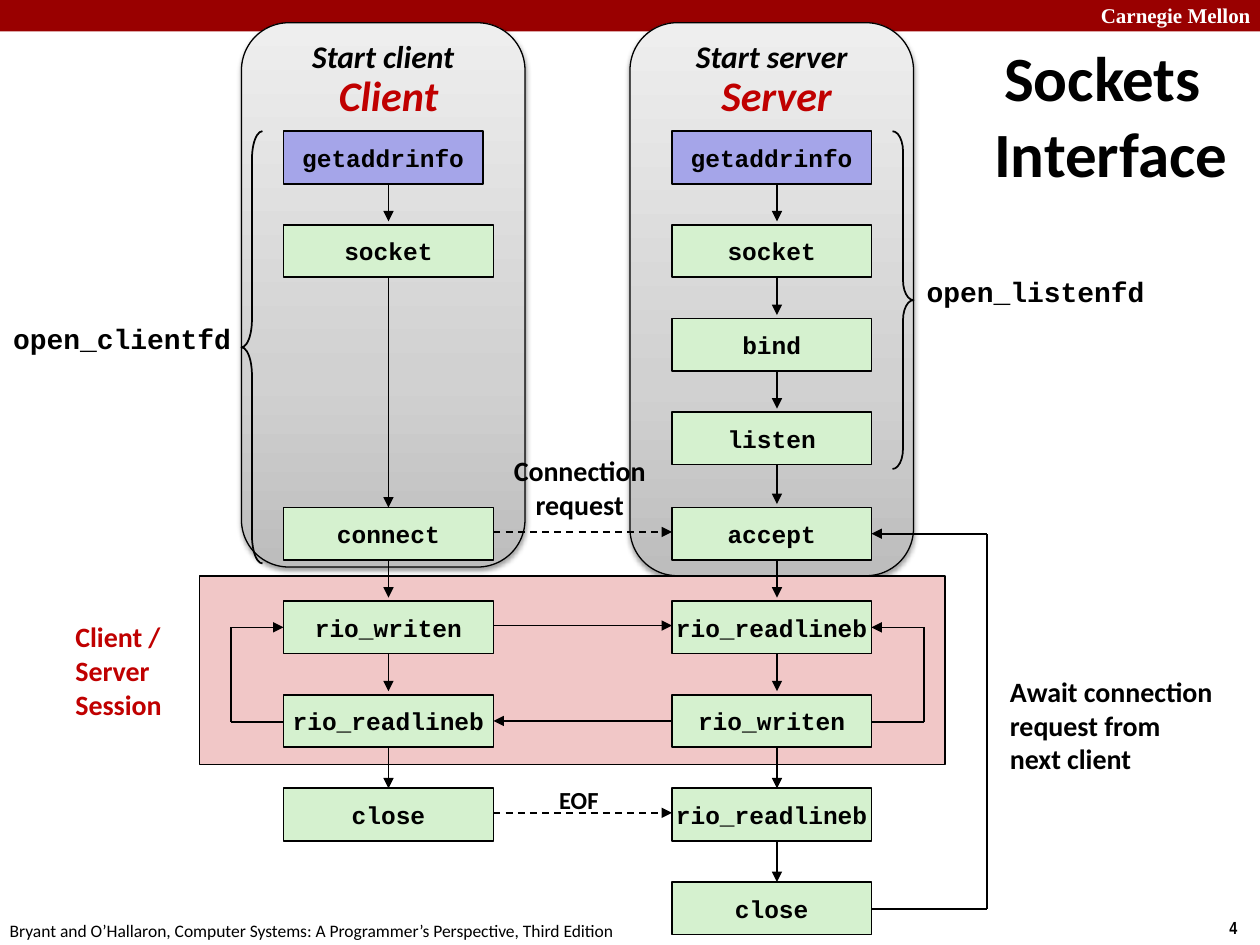
import copy

import pptx
import pptx.dml.color
import pptx.enum.dml
import pptx.enum.shapes
import pptx.enum.text
import pptx.oxml
import pptx.oxml.ns
import pptx.util

Pt = pptx.util.Pt
RGBColor = pptx.dml.color.RGBColor
MSO_SHAPE = pptx.enum.shapes.MSO_SHAPE
PP_ALIGN = pptx.enum.text.PP_ALIGN
MSO_ANCHOR = pptx.enum.text.MSO_ANCHOR
qn = pptx.oxml.ns.qn

BLACK = RGBColor(0x00, 0x00, 0x00)
WHITE = RGBColor(0xFF, 0xFF, 0xFF)
BANNER_RED = RGBColor(0x99, 0x00, 0x00)
ACCENT_RED = RGBColor(0xC0, 0x00, 0x00)
PINK = RGBColor(0xF1, 0xC7, 0xC7)
GREEN = RGBColor(0xD5, 0xF1, 0xCF)
LAVENDER = RGBColor(0xA5, 0xA5, 0xE9)
PANEL_STOPS = [
    (0, RGBColor(0xBD, 0xBD, 0xBD)),
    (0.35, RGBColor(0xD1, 0xD1, 0xD1)),
    (1, RGBColor(0xEE, 0xEE, 0xEE)),
]
PANEL_SHADOW = (
    '<a:outerShdw xmlns:a="http://schemas.openxmlformats.org/drawingml/2006/main"'
    ' blurRad="39370" dist="20320" dir="5400000" rotWithShape="0">'
    '<a:srgbClr val="000000"><a:alpha val="38000"/></a:srgbClr></a:outerShdw>'
)

BODY_FONT = "Calibri"
CODE_FONT = "Courier New"

CLIENT_LEFT, CLIENT_WIDTH, CLIENT_AXIS = 162, 120, 222
SERVER_LEFT, SERVER_WIDTH, SERVER_AXIS = 384, 114, 444
CLIENT_RIGHT = CLIENT_LEFT + CLIENT_WIDTH
SERVER_RIGHT = SERVER_LEFT + SERVER_WIDTH
BOX_HEIGHT = 30
ROW_PITCH = 53.5

CLIENT_CALLS = {0: "getaddrinfo", 1: "socket", 4: "connect", 5: "rio_writen",
                6: "rio_readlineb", 7: "close"}
SERVER_CALLS = dict(enumerate(["getaddrinfo", "socket", "bind", "listen", "accept",
                               "rio_readlineb", "rio_writen", "rio_readlineb", "close"]))


def row_top(row):
    return 75 + ROW_PITCH * row if row < 4 else 290 + ROW_PITCH * (row - 4)


def row_middle(row):
    return row_top(row) + BOX_HEIGHT / 2


class Diagram:
    def __init__(self, slide):
        self.slide = slide

    def add_lines(self, frame, lines, size, font=BODY_FONT, color=BLACK, bold=True,
                  italic=False, align=PP_ALIGN.CENTER):
        for index, line in enumerate(lines):
            paragraph = frame.paragraphs[0] if index == 0 else frame.add_paragraph()
            paragraph.alignment = align
            run = paragraph.add_run()
            run.text = line
            run.font.name = font
            run.font.size = Pt(size)
            run.font.bold = bold
            run.font.italic = italic
            run.font.color.rgb = color

    def title(self, text, left, top, width, height):
        title = self.slide.shapes.title
        title.left, title.top, title.width, title.height = map(Pt, (left, top, width, height))
        frame = title.text_frame
        frame.word_wrap = True
        frame.auto_size = pptx.enum.text.MSO_AUTO_SIZE.NONE
        frame.vertical_anchor = MSO_ANCHOR.MIDDLE
        self.add_lines(frame, [text], 36)
        properties = frame.paragraphs[0]._p.get_or_add_pPr()
        properties.set("marL", str(Pt(9.36)))
        properties.set("indent", str(-Pt(9.36)))

    def text(self, lines, left, top, width, height, size, wrap=False,
             anchor=MSO_ANCHOR.MIDDLE, **style):
        shape = self.slide.shapes.add_textbox(Pt(left), Pt(top), Pt(width), Pt(height))
        frame = shape.text_frame
        frame.word_wrap = wrap
        frame.auto_size = pptx.enum.text.MSO_AUTO_SIZE.SHAPE_TO_FIT_TEXT
        frame.vertical_anchor = anchor
        self.add_lines(frame, lines, size, **style)

    def shape(self, kind, left, top, width, height, fill=None, line_width=1):
        shape = self.slide.shapes.add_shape(kind, Pt(left), Pt(top), Pt(width), Pt(height))
        shape.shadow.inherit = False
        if fill is None:
            shape.fill.background()
        else:
            shape.fill.solid()
            shape.fill.fore_color.rgb = fill
        if line_width:
            shape.line.color.rgb = BLACK
            shape.line.width = Pt(line_width)
        else:
            shape.line.fill.background()
        return shape

    def call(self, name, left, row, width):
        fill = LAVENDER if name == "getaddrinfo" else GREEN
        shape = self.shape(MSO_SHAPE.RECTANGLE, left, row_top(row), width, BOX_HEIGHT, fill)
        shape.text_frame.word_wrap = False
        shape.text_frame.vertical_anchor = MSO_ANCHOR.MIDDLE
        self.add_lines(shape.text_frame, [name], 14, CODE_FONT)

    def panel(self, caption, left, top, width, height):
        shape = self.shape(MSO_SHAPE.ROUNDED_RECTANGLE, left, top, width, height,
                           line_width=0.75)
        shape.fill.gradient()
        shape.fill.gradient_angle = 90
        stop_list = shape._element.spPr.find(".//" + qn("a:gsLst"))
        stop_list.append(copy.deepcopy(stop_list[0]))
        for stop, (position, color) in zip(shape.fill.gradient_stops, PANEL_STOPS):
            stop.position = position
            stop.color.rgb = color
        effects = shape._element.spPr.find(qn("a:effectLst"))
        effects.append(pptx.oxml.parse_xml(PANEL_SHADOW))
        frame = shape.text_frame
        frame.margin_top = 0
        frame.vertical_anchor = MSO_ANCHOR.TOP
        self.add_lines(frame, [caption], 18, italic=True)

    def brace(self, kind, left, top, width, height, curl):
        shape = self.shape(kind, left, top, width, height)
        shape.adjustments[0] = curl

    def route(self, *points, dashed=False):
        for start, end in zip(points, points[1:]):
            line = self.slide.shapes.add_connector(
                pptx.enum.shapes.MSO_CONNECTOR.STRAIGHT, *map(Pt, start + end))
            line.line.color.rgb = BLACK
            line.line.width = Pt(1)
            if dashed:
                line.line.dash_style = pptx.enum.dml.MSO_LINE.DASH
            properties = line._element.spPr
            properties.append(properties.makeelement(qn("a:effectLst")))
        outline = properties.find(qn("a:ln"))
        outline.append(outline.makeelement(qn("a:tailEnd"), {"type": "triangle"}))

    def down(self, axis, row, next_row, gap):
        self.route((axis, row_top(row) + BOX_HEIGHT), (axis, row_top(next_row) - gap))


def main():
    presentation = pptx.Presentation()
    presentation.slide_width, presentation.slide_height = Pt(720), Pt(540)
    slide = presentation.slides.add_slide(presentation.slide_layouts[5])
    diagram = Diagram(slide)
    left = PP_ALIGN.LEFT

    diagram.shape(MSO_SHAPE.RECTANGLE, 0, 0, 720, 18, BANNER_RED, line_width=0)
    diagram.text(["Carnegie Mellon"], 622, -2, 103, 21.6, 12, wrap=True, anchor=MSO_ANCHOR.TOP,
                 font="Times New Roman", color=WHITE, align=left)
    diagram.text(["4"], 695.5, 520.5, 24.5, 19.5, 10, anchor=MSO_ANCHOR.TOP,
                 font="Arial Narrow", align=left)
    diagram.text(["Bryant and O’Hallaron, Computer Systems: A Programmer’s Perspective, "
                  "Third Edition"], -1.5, 522, 366, 19.5, 10, anchor=MSO_ANCHOR.TOP,
                 bold=False, align=left)
    diagram.title("Sockets Interface", 546, 18, 168, 94.5)

    diagram.panel("Start client", 138, 13, 162, 311)
    diagram.panel("Start server", 360, 13, 162, 316)
    diagram.shape(MSO_SHAPE.RECTANGLE, 114, 329, 426, 108, PINK)
    diagram.text(["Client"], 186, 36, 72, 36, 24, color=ACCENT_RED, italic=True)
    diagram.text(["Server"], 404.5, 36, 78.5, 36, 24, color=ACCENT_RED, italic=True)
    diagram.text(["Client / Server", "Session"], 36, 350.5, 66, 65, 16, wrap=True,
                 color=ACCENT_RED, align=left)

    for axis, calls in ((CLIENT_AXIS, CLIENT_CALLS), (SERVER_AXIS, SERVER_CALLS)):
        rows = list(calls)
        for row, next_row in zip(rows, rows[1:]):
            touching = row >= 6 or next_row - row > 1
            diagram.down(axis, row, next_row, 0 if touching else 2)

    for row in (4, 7):
        diagram.route((CLIENT_RIGHT, row_middle(row) - 1), (SERVER_LEFT, row_middle(row) - 1),
                      dashed=True)
    diagram.route((CLIENT_RIGHT, row_middle(5) - 1), (SERVER_LEFT, row_middle(5) - 1))
    diagram.route((SERVER_LEFT, row_middle(6)), (CLIENT_RIGHT, row_middle(6)))
    for edge, lane, last, first in ((CLIENT_LEFT, 132, 6, 5), (SERVER_RIGHT, 528, 6, 5),
                                    (SERVER_RIGHT, 564, 8, 4)):
        bottom, top = row_middle(last) + 0.5, row_middle(first)
        diagram.route((edge, bottom), (lane, bottom), (lane, top), (edge, top))

    for row, name in CLIENT_CALLS.items():
        diagram.call(name, CLIENT_LEFT, row, CLIENT_WIDTH if row else SERVER_WIDTH)
    for row, name in SERVER_CALLS.items():
        diagram.call(name, SERVER_LEFT, row, SERVER_WIDTH)

    diagram.brace(MSO_SHAPE.LEFT_BRACE, 138, 75, 12, 247, 1.33)
    diagram.brace(MSO_SHAPE.RIGHT_BRACE, 510, 75, 12, 193, 0.96)
    diagram.text(["open_clientfd"], 0, 180, 139.5, 26.5, 16, font=CODE_FONT)
    diagram.text(["open_listenfd"], 522, 153.5, 139.5, 26.5, 16, font=CODE_FONT)
    diagram.text(["Connection", "request"], 286, 255.5, 90.5, 46, 16)
    diagram.text(["EOF"], 312, 445, 37.5, 24.5, 14)
    diagram.text(["Await connection", "request from", "next client"], 570, 381.5, 132, 65.5, 16,
                 align=left)

    presentation.save("out.pptx")


if __name__ == "__main__":
    main()
